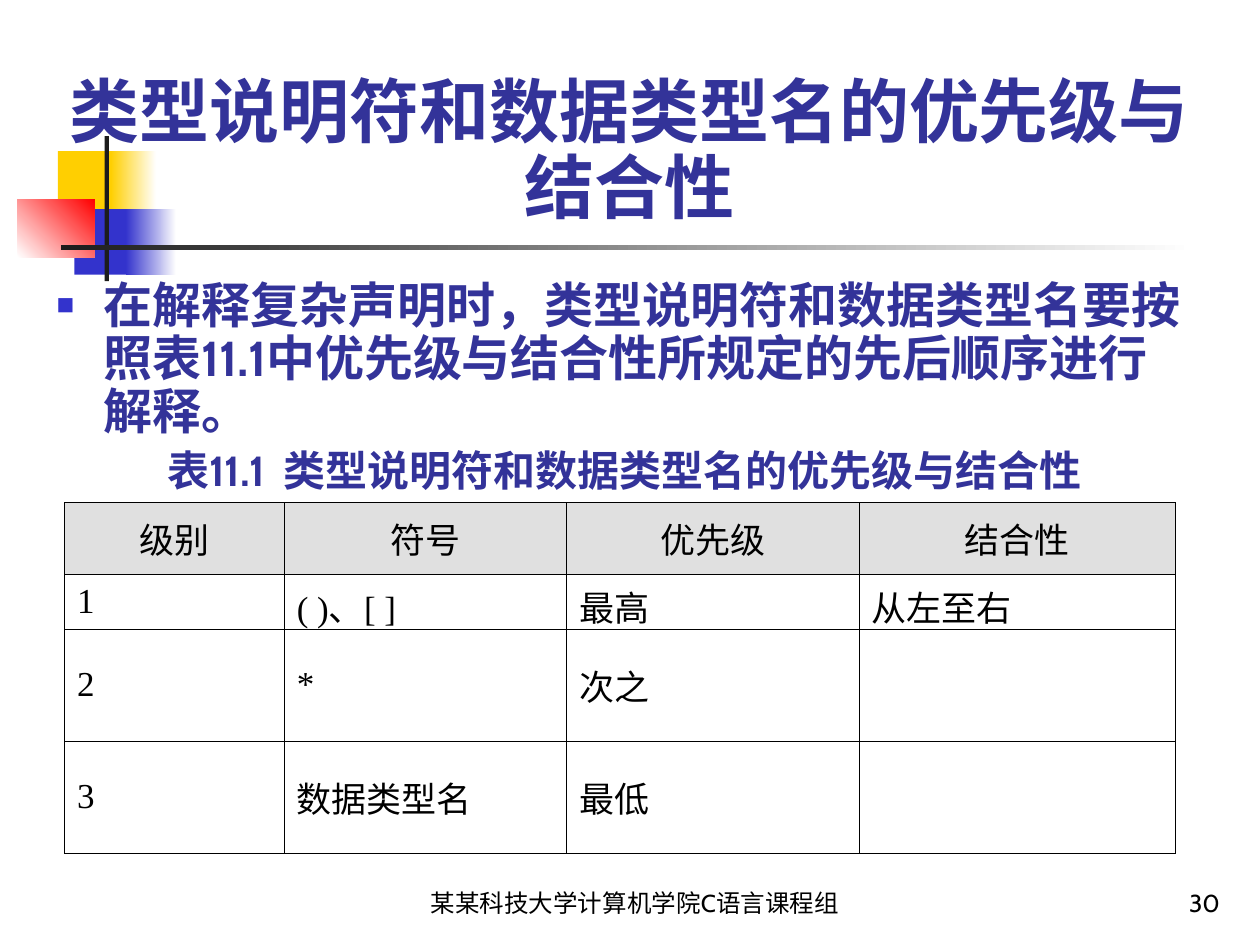
"""Build the slide on precedence and associativity of type specifiers."""
from lxml.etree import SubElement
from pptx import Presentation
from pptx.dml.color import RGBColor
from pptx.enum.shapes import MSO_SHAPE
from pptx.enum.text import MSO_ANCHOR, PP_ALIGN
from pptx.oxml import parse_xml
from pptx.oxml.ns import nsdecls, qn
from pptx.util import Pt

COLORS = {
    "white": "FFFFFF", "black": "000000", "yellow": "FFCF01", "blue": "3333CC",
    "red": "FF0000", "dark": "1C1C1C", "navy": "333399", "header": "E0E0E0",
}


def add_span(para, text, size, latin, asian, color="black", bold=False):
    span = para.add_run()
    span.text = text
    span.font.size = Pt(size)
    span.font.name = latin
    span.font.bold = bold
    span.font.color.rgb = RGBColor.from_string(COLORS[color])
    SubElement(span.font._element, qn("a:ea")).set("typeface", asian)


def add_frame(left, top, width, height, anchor):
    box = page.shapes.add_textbox(Pt(left), Pt(top), Pt(width), Pt(height))
    frame = box.text_frame
    frame.word_wrap = True
    frame.vertical_anchor = anchor
    return frame


deck = Presentation()
deck.slide_width, deck.slide_height = Pt(720), Pt(540)
page = deck.slides.add_slide(deck.slide_layouts[6])

ornaments = [
    (33.1, 86.4, 34.6, 37.4, ["yellow"], 0),
    (63.4, 86.4, 25.9, 37.4, ["yellow", "white"], 0),
    (42.5, 119.5, 33.1, 37.4, ["blue"], 0),
    (72, 119.5, 28.8, 37.4, ["blue", "white"], 0),
    (10.1, 113.8, 43.9, 33.1, ["white", "red"], 45),
    (59.8, 77.8, 2.4, 82.8, ["dark"], 0),
    (34.6, 140.2, 648, 2.4, ["dark", "white"], 0),
]
for left, top, width, height, tones, angle in ornaments:
    ornament = page.shapes.add_shape(
        MSO_SHAPE.RECTANGLE, Pt(left), Pt(top), Pt(width), Pt(height))
    ornament.shadow.inherit = False
    ornament.line.fill.background()
    if len(tones) == 1:
        ornament.fill.solid()
        ornament.fill.fore_color.rgb = RGBColor.from_string(COLORS[tones[0]])
    else:
        ornament.fill.gradient()
        ornament.fill.gradient_angle = angle
        for stop, tone in zip(ornament.fill.gradient_stops, tones):
            stop.color.rgb = RGBColor.from_string(COLORS[tone])

footers = [
    (190, 345.6, PP_ALIGN.CENTER, "某某科技大学计算机学院C语言课程组"),
    (554.4, 149.8, PP_ALIGN.RIGHT, "30"),
]
for left, width, alignment, text in footers:
    para = add_frame(left, 491.8, width, 36, MSO_ANCHOR.BOTTOM).paragraphs[0]
    para.alignment = alignment
    add_span(para, text, 14, "Cabin", "Cabin")

title = add_frame(25.2, 16.6, 668.9, 115.2, MSO_ANCHOR.BOTTOM)
title.margin_bottom = Pt(1)
para = title.paragraphs[0]
para.alignment = PP_ALIGN.CENTER
para.line_spacing = 0.91
add_span(para, "类型说明符和数据类型名的优先级与结合性", 40,
         "Noto Sans CJK SC", "Noto Sans CJK SC", "navy", True)

body = add_frame(25.2, 157, 663.1, 130.3, MSO_ANCHOR.TOP)
statements = [
    ("在解释复杂声明时，类型说明符和数据类型名要按照表11.1中优先级与结合性所规定的先后顺序进行解释。",
     28, 7, PP_ALIGN.LEFT),
    ("表11.1  类型说明符和数据类型名的优先级与结合性", 24, 6, PP_ALIGN.CENTER),
]
for index, (text, size, space, alignment) in enumerate(statements):
    para = body.add_paragraph() if index else body.paragraphs[0]
    para.alignment = alignment
    para.line_spacing = 0.9
    para.space_before = Pt(space)
    settings = para._p.get_or_add_pPr()
    settings.set("marL", str(Pt(27)))
    settings.set("indent", str(Pt(-27)))
    if index == 0:
        bullet_color = SubElement(settings, qn("a:buClr"))
        SubElement(bullet_color, qn("a:srgbClr")).set("val", COLORS["blue"])
        SubElement(settings, qn("a:buSzPct")).set("val", "60000")
        SubElement(settings, qn("a:buFont")).set("typeface", "Arial")
        SubElement(settings, qn("a:buChar")).set("char", "■")
    else:
        SubElement(settings, qn("a:buNone"))
    add_span(para, text, size, "Cabin", "Cabin", "navy", True)

rows = [
    ("级别", "符号", "优先级", "结合性"),
    ("1", "( )、[ ]", "最高", "从左至右"),
    ("2", "*", "次之", ""),
    ("3", "数据类型名", "最低", ""),
]
widths = [125.5, 161.3, 167.3, 180.7]
heights = [41, 31, 64, 64]
table = page.shapes.add_table(
    len(rows), len(widths), Pt(36.9), Pt(287.2), Pt(sum(widths)), Pt(sum(heights))).table
table.first_row = False
table.horz_banding = False
for column, width in zip(table.columns, widths):
    column.width = Pt(width)
for row, height in zip(table.rows, heights):
    row.height = Pt(height)

for row_index, texts in enumerate(rows):
    is_header = row_index == 0
    for column_index, text in enumerate(texts):
        cell = table.cell(row_index, column_index)
        cell.vertical_anchor = MSO_ANCHOR.MIDDLE
        if is_header:
            cell.fill.solid()
            cell.fill.fore_color.rgb = RGBColor.from_string(COLORS["header"])
        else:
            cell.fill.background()
        for position, side in enumerate(("lnL", "lnR", "lnT", "lnB")):
            border = parse_xml(
                f'<a:{side} {nsdecls("a")} w="{Pt(0.45)}"><a:solidFill>'
                f'<a:srgbClr val="{COLORS["black"]}"/></a:solidFill></a:{side}>')
            cell._tc.get_or_add_tcPr().insert(position, border)
        if text:
            para = cell.text_frame.paragraphs[0]
            para.alignment = PP_ALIGN.CENTER if is_header else PP_ALIGN.LEFT
            add_span(para, text, 20, "Arial" if is_header else "Times New Roman",
                     "Noto Sans CJK SC")

deck.save("out.pptx")
